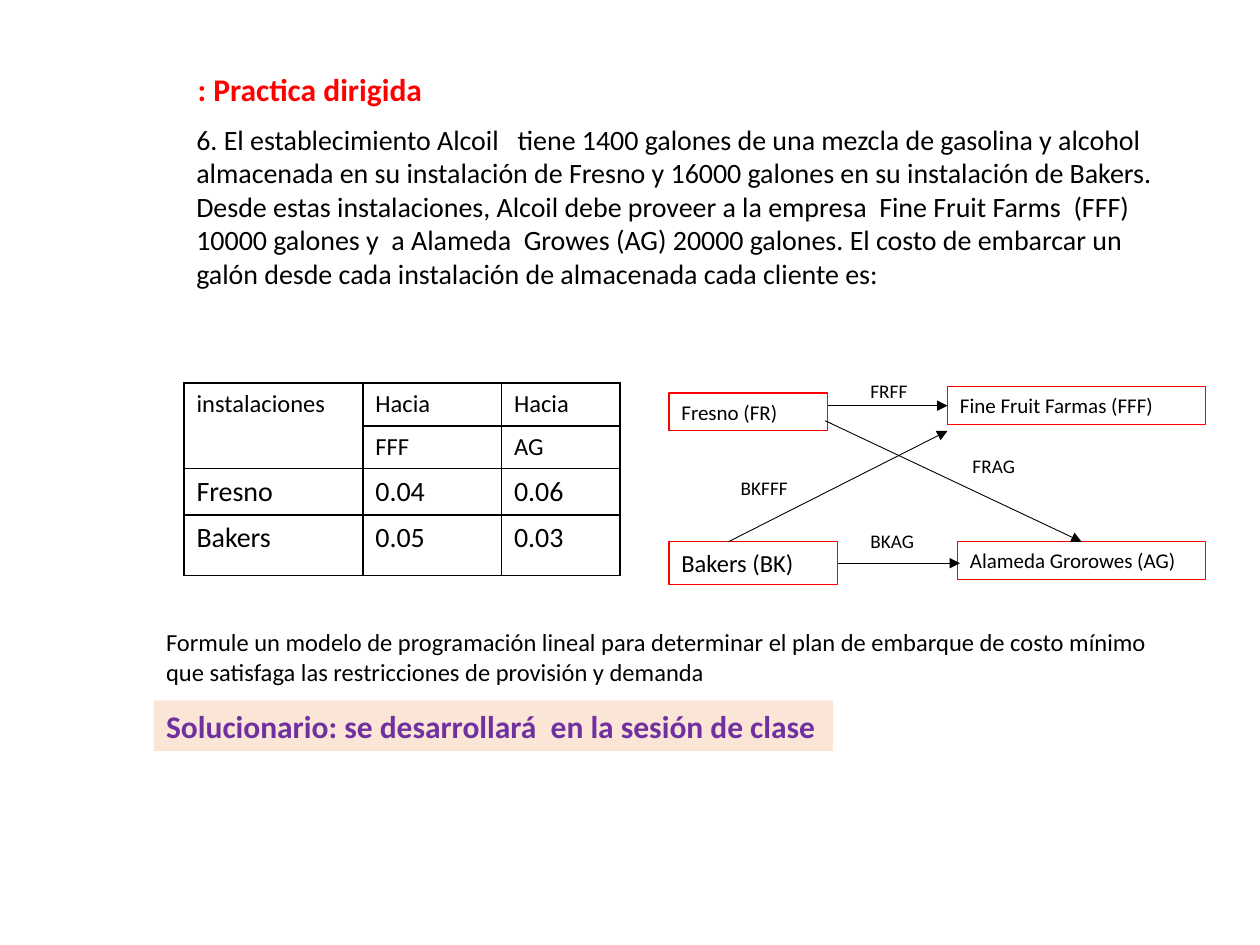
from pptx import Presentation
from pptx.dml.color import RGBColor
from pptx.enum.shapes import MSO_CONNECTOR, MSO_SHAPE
from pptx.enum.text import MSO_ANCHOR, MSO_AUTO_SIZE, PP_ALIGN
from pptx.oxml.ns import qn
from pptx.util import Inches, Pt
from lxml.etree import SubElement

COLORS = {"text": "000000", "red": "FF0000", "purple": "7030A0", "peach": "FBE5D6"}
FONT = "Calibri"
TOP, LEFT, BOTTOM, RIGHT = range(4)

PROBLEM = (
    "6. El establecimiento Alcoil   tiene 1400 galones de una mezcla de gasolina y alcohol "
    "almacenada en su instalación de Fresno y 16000 galones en su instalación de Bakers. "
    "Desde estas instalaciones, Alcoil debe proveer a la empresa  Fine Fruit Farms  (FFF) "
    "10000 galones y  a Alameda  Growes (AG) 20000 galones. El costo de embarcar un galón "
    "desde cada instalación de almacenada cada cliente es:"
)
TASK = (
    "Formule un modelo de programación lineal para determinar el plan de embarque de costo "
    "mínimo que satisfaga las restricciones de provisión y demanda"
)
TITLE = ": Practica dirigida"
SOLUTION = "Solucionario: se desarrollará  en la sesión de clase"

PARAGRAPHS = [
    (PROBLEM, (1.46, 0.92, 7.95, 1.45), 16),
    (TASK, (1.22, 4.93, 8.03, 0.57), 14),
]
LABELS = [
    ("FRFF", (6.81, 2.96, 0.5, 0.29)),
    ("FRAG", (7.62, 3.56, 0.54, 0.29)),
    ("BKFFF", (5.78, 3.73, 0.58, 0.29)),
    ("BKAG", (6.81, 4.15, 0.55, 0.29)),
]
NODES = {
    "FR": ("Fresno (FR)", (5.31, 3.12, 1.26, 0.3), 12),
    "AG": ("Alameda Grorowes (AG)", (7.6, 4.3, 1.97, 0.3), 12),
    "BK": ("Bakers (BK)", (5.31, 4.3, 1.34, 0.34), 14),
    "FFF": ("Fine Fruit Farmas (FFF)", (7.52, 3.07, 2.05, 0.3), 12),
}
ROUTES = [
    ((6.57, 3.22), (7.52, 3.22), None, ("FFF", LEFT)),
    ((5.78, 4.3), (7.52, 3.42), None, None),
    ((6.55, 3.34), (8.58, 4.3), None, ("AG", TOP)),
    ((6.65, 4.47), (7.62, 4.47), ("BK", RIGHT), None),
]
COSTS = [
    ("instalaciones", "Hacia", "Hacia"),
    ("", "FFF", "AG"),
    ("Fresno", "0.04", "0.06"),
    ("Bakers", "0.05", "0.03"),
]
COST_BOX = (1.46, 3.04, 3.46, 1.52)
COL_WIDTHS = (1.42, 1.1, 0.94)
ROW_HEIGHTS = (0.34, 0.34, 0.36, 0.48)
ROW_SIZES = (14, 14, 16, 16)


def rgb(name):
    return RGBColor.from_string(COLORS[name])


def write(tf, text, size, color="text", bold=False):
    p = tf.paragraphs[0]
    p.alignment = PP_ALIGN.LEFT
    r = p.add_run()
    r.text = text
    for key, value in {"name": FONT, "size": Pt(size), "bold": bold}.items():
        setattr(r.font, key, value)
    r.font.color.rgb = rgb(color)


def fill_frame(sp, text, size, wrap=True, **style):
    frame = {
        "word_wrap": wrap,
        "auto_size": MSO_AUTO_SIZE.SHAPE_TO_FIT_TEXT,
        "vertical_anchor": MSO_ANCHOR.TOP,
    }
    for key, value in frame.items():
        setattr(sp.text_frame, key, value)
    write(sp.text_frame, text, size, **style)


def add_text(s, text, box, size, **style):
    fill_frame(s.shapes.add_textbox(*map(Inches, box)), text, size, **style)


def add_box(s, text, box, size, line=None, fill=None, **style):
    sp = s.shapes.add_shape(MSO_SHAPE.RECTANGLE, *map(Inches, box))
    sp.shadow.inherit = False
    if fill:
        sp.fill.solid()
        sp.fill.fore_color.rgb = rgb(fill)
    else:
        sp.fill.background()
    if line:
        sp.line.color.rgb = rgb(line)
        sp.line.width = Pt(0.75)
    else:
        sp.line.fill.background()
    fill_frame(sp, text, size, **style)
    return sp


def add_arrow(s, start, end, source, target, nodes):
    cx = s.shapes.add_connector(MSO_CONNECTOR.STRAIGHT, *map(Inches, start + end))
    if source:
        cx.begin_connect(nodes[source[0]], source[1])
    if target:
        cx.end_connect(nodes[target[0]], target[1])
    cx.line.color.rgb = rgb("text")
    cx.line.width = Pt(0.5)
    SubElement(cx.line._get_or_add_ln(), qn("a:tailEnd"), type="triangle")
    SubElement(cx._element.spPr, qn("a:effectLst"))


def add_borders(cell):
    tc_pr = cell._tc.get_or_add_tcPr()
    for i, side in enumerate(("lnL", "lnR", "lnT", "lnB")):
        ln = tc_pr.makeelement(qn(f"a:{side}"), {"w": str(Pt(1))})
        tc_pr.insert(i, ln)
        solid = SubElement(ln, qn("a:solidFill"))
        SubElement(solid, qn("a:srgbClr"), val=COLORS["text"])


def add_costs(s):
    table = s.shapes.add_table(len(COSTS), len(COL_WIDTHS), *map(Inches, COST_BOX)).table
    for key in ("first_row", "horz_banding"):
        setattr(table, key, False)
    for col, width in zip(table.columns, COL_WIDTHS):
        col.width = Inches(width)
    for i, (values, height, size) in enumerate(zip(COSTS, ROW_HEIGHTS, ROW_SIZES)):
        table.rows[i].height = Inches(height)
        for j, value in enumerate(values):
            cell = table.cell(i, j)
            cell.fill.background()
            add_borders(cell)
            if value:
                write(cell.text_frame, value, size)
    table.cell(0, 0).merge(table.cell(1, 0))


def main():
    prs = Presentation()
    prs.slide_width, prs.slide_height = Inches(10), Inches(7.5)
    s = prs.slides.add_slide(prs.slide_layouts[6])
    for text, box, size in PARAGRAPHS:
        add_text(s, text, box, size)
    add_costs(s)
    nodes = {key: add_box(s, *node, line="red") for key, node in NODES.items()}
    for route in ROUTES:
        add_arrow(s, *route, nodes)
    for text, box in LABELS:
        add_text(s, text, box, 11, wrap=False)
    add_text(s, TITLE, (1.47, 0.51, 2, 0.4), 18, wrap=False, color="red", bold=True)
    add_box(s, SOLUTION, (1.22, 5.56, 5.39, 0.4), 18, fill="peach",
            wrap=False, color="purple", bold=True)
    prs.save("out.pptx")


if __name__ == "__main__":
    main()
